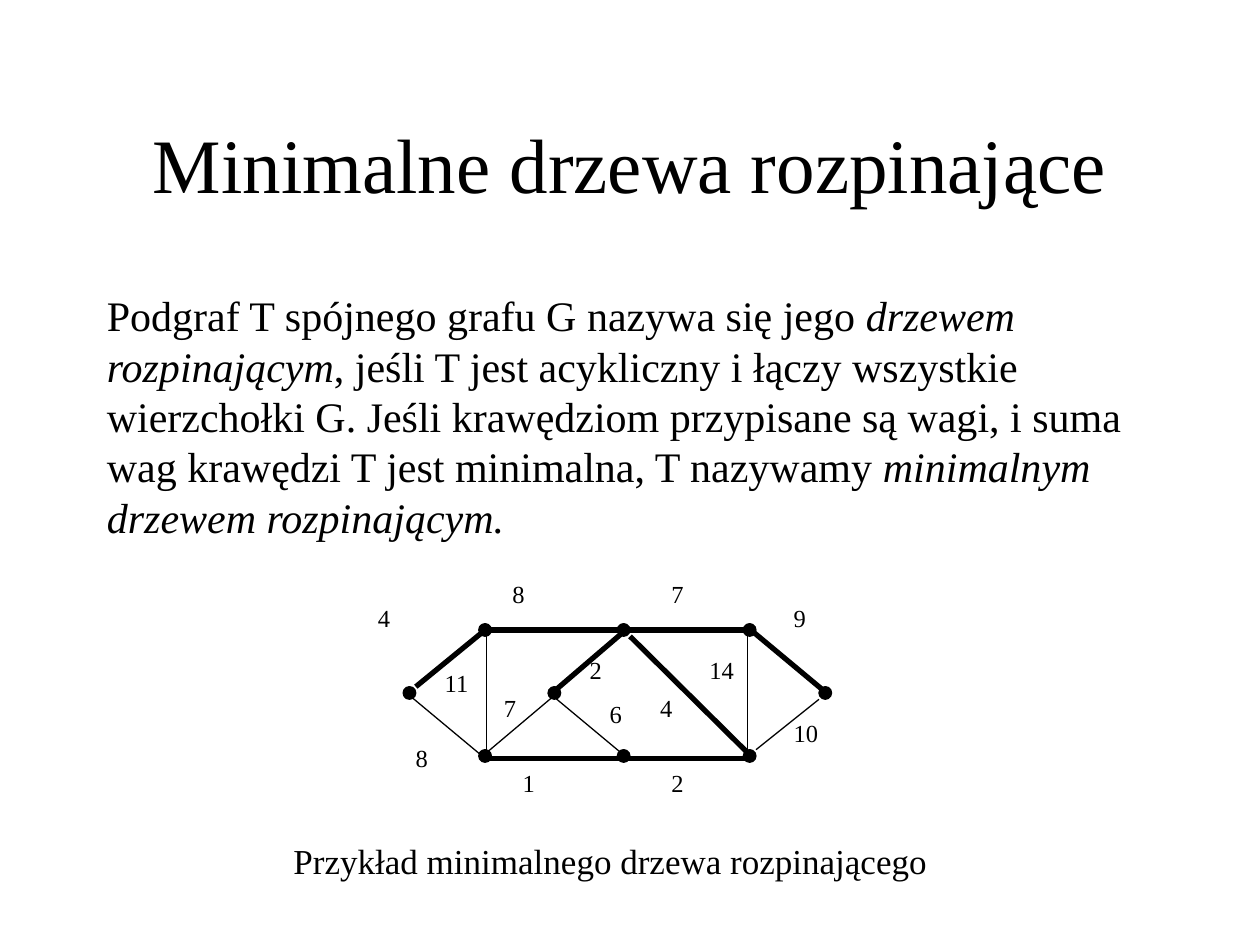
from lxml import etree
from pptx import Presentation
from pptx.dml.color import RGBColor
from pptx.enum import shapes, text
from pptx.oxml.ns import qn
from pptx.util import Pt

COLORS = {"ink": "000000", "paper": "FFFFFF"}
INK = RGBColor.from_string(COLORS["ink"])
FONT = "Times New Roman"


def style_text(paragraph, size):
    paragraph.font.name = FONT
    paragraph.font.size = Pt(size)
    paragraph.font.color.rgb = INK


def add_text(parent, left, top, width, height, size, runs):
    """Add a wrapping text box; runs are (text, italic) pairs."""
    box = parent.add_textbox(Pt(left), Pt(top), Pt(width), Pt(height))
    box.text_frame.word_wrap = True
    paragraph = box.text_frame.paragraphs[0]
    for words, italic in runs:
        run = paragraph.add_run()
        run.text = words
        if italic:
            run.font.italic = True
    style_text(paragraph, size)
    return paragraph


presentation = Presentation()
presentation.slide_width, presentation.slide_height = Pt(720), Pt(540)
slide = presentation.slides.add_slide(presentation.slide_layouts[5])
slide.background.fill.solid()
slide.background.fill.fore_color.rgb = RGBColor.from_string(COLORS["paper"])

title = slide.shapes.title
title.left, title.top, title.width, title.height = Pt(54), Pt(48), Pt(612), Pt(90)
title.text_frame.text = "Minimalne drzewa rozpinające"
title.text_frame.vertical_anchor = text.MSO_ANCHOR.MIDDLE
title.text_frame.paragraphs[0].alignment = text.PP_ALIGN.CENTER
style_text(title.text_frame.paragraphs[0], 44)

definition = add_text(slide.shapes, 54, 162, 606, 151, 24, [
    ("Podgraf T spójnego grafu G nazywa się jego ", False),
    ("drzewem rozpinającym", True),
    (", jeśli T jest acykliczny i łączy wszystkie wierzchołki G. "
     "Jeśli krawędziom przypisane są wagi, i suma wag krawędzi T "
     "jest minimalna, T nazywamy ", False),
    ("minimalnym drzewem rozpinającym.", True),
])
definition.line_spacing = Pt(28.8)

graph = slide.shapes.add_group_shape().shapes

# Vertices, by centre
DIAMETER = 7.2
vertices = [(x, y) for x in (277.2, 356.4, 428.4) for y in (360, 432)]
vertices += [(x, 396) for x in (234, 316.8, 471.6)]
for x, y in vertices:
    vertex = graph.add_shape(shapes.MSO_SHAPE.OVAL, Pt(x - DIAMETER / 2),
                             Pt(y - DIAMETER / 2), Pt(DIAMETER), Pt(DIAMETER))
    vertex.shadow.inherit = False
    vertex.fill.solid()
    vertex.fill.fore_color.rgb = INK
    vertex.line.color.rgb = INK
    vertex.line.width = Pt(0.75)

# Edges by line width: the spanning tree is heavy
edges = {
    3: [
        (360, 363.6, 429.1, 432),
        (313.9, 397.4, 355, 362.2),
        (277.9, 360, 360, 360),
        (360, 360, 427, 360),
        (356.4, 433.4, 428.4, 433.4),
        (277.2, 433.4, 358.6, 433.4),
        (237.6, 392.4, 277.2, 360),
        (429.1, 360, 472.3, 396),
    ],
    0.75: [
        (427, 360, 427, 429.8),
        (277.9, 361.4, 277.9, 430.6),
        (313.9, 396, 357.1, 432),
        (234, 397.4, 277.2, 433.4),
        (432, 428.4, 468, 399.6),
        (275.8, 432, 316.8, 397.4),
    ],
}
for width, lines in edges.items():
    for ends in lines:
        edge = graph.add_connector(shapes.MSO_CONNECTOR.STRAIGHT,
                                   *[Pt(value) for value in ends])
        edge.line.color.rgb = INK
        edge.line.width = Pt(width)
        etree.SubElement(edge._element.spPr, qn("a:effectLst"))

weights = [
    ("4", 208.8, 341.3), ("8", 285.8, 327.6), ("7", 376.6, 327.6),
    ("9", 446.4, 341.3), ("14", 398.2, 370.8), ("10", 446.4, 406.8),
    ("2", 376.6, 435.6), ("1", 291.6, 435.6), ("11", 247, 378),
    ("2", 329.8, 370.8), ("7", 280.8, 392.4), ("8", 230.4, 421.2),
    ("4", 370.1, 392.4), ("6", 341.3, 396),
]
for weight, left, top in weights:
    add_text(graph, left, top, 28.8 if len(weight) == 1 else 48, 24.5, 14,
             [(weight, False)])

add_text(slide.shapes, 160.6, 475.9, 403.2, 31.7, 20,
         [("Przykład minimalnego drzewa rozpinającego", False)])

presentation.save("out.pptx")
